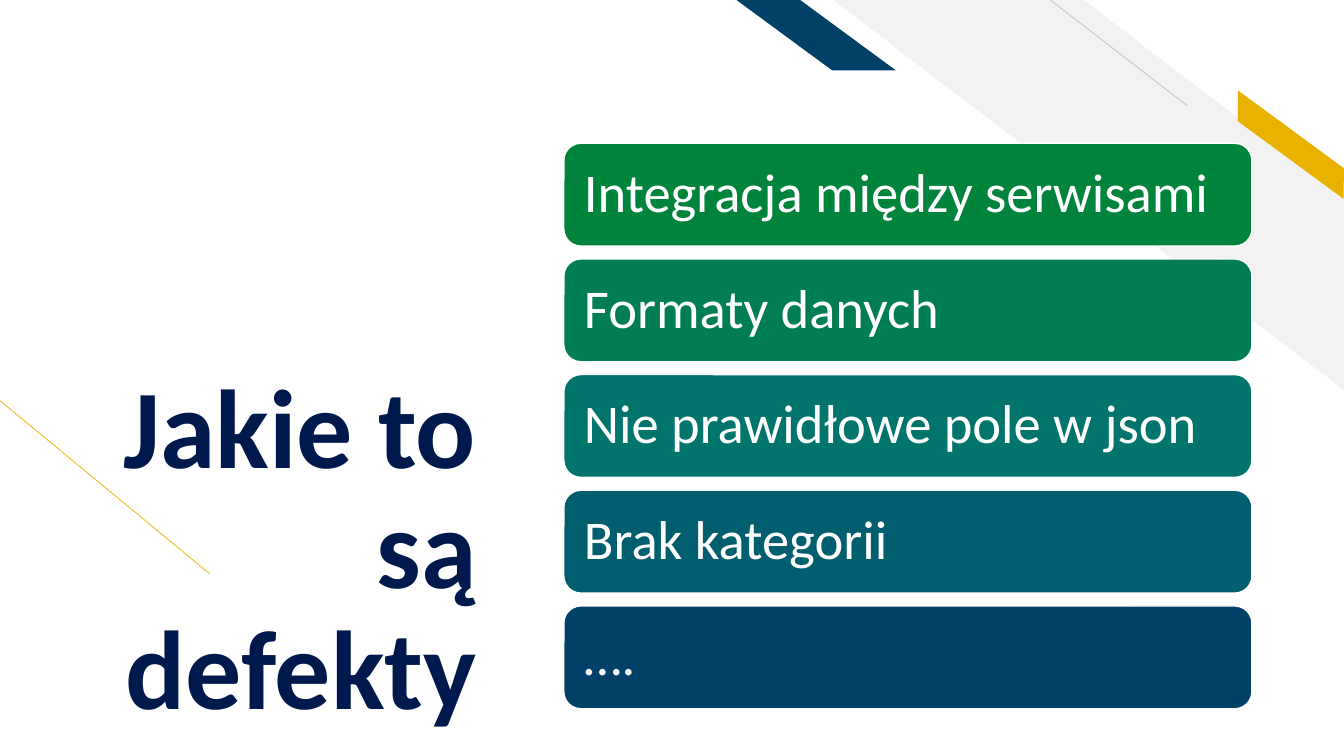
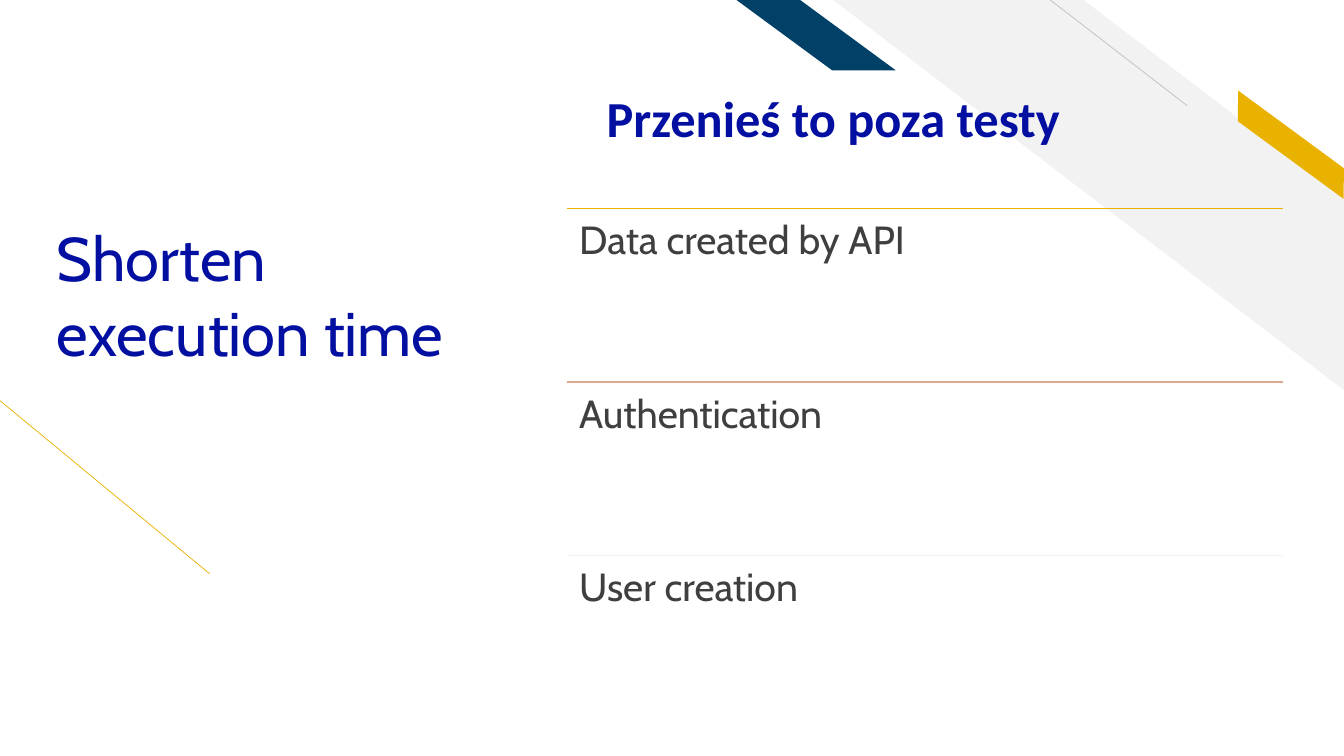
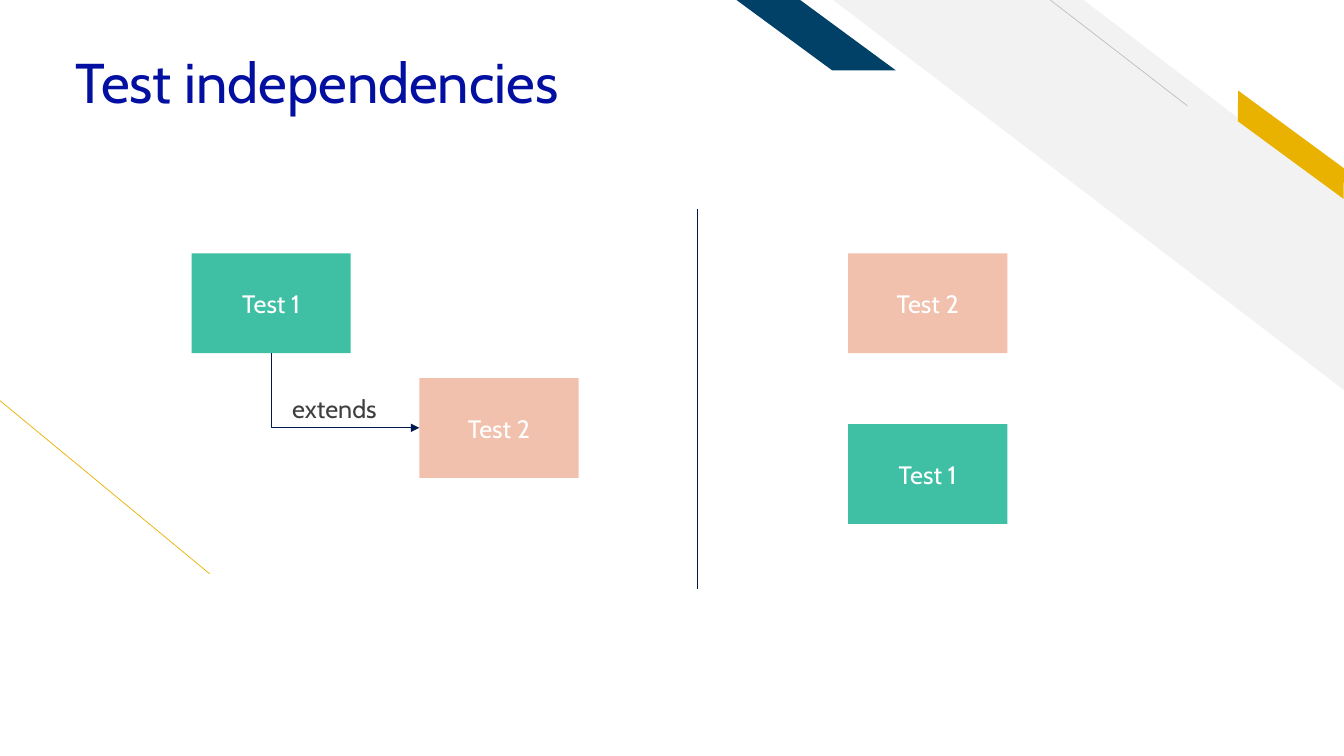
from dataclasses import dataclass
from typing import Optional

from lxml import etree
from pptx import Presentation
from pptx.dml.color import RGBColor
from pptx.enum.shapes import MSO_CONNECTOR, MSO_SHAPE
from pptx.enum.text import MSO_ANCHOR, PP_ALIGN
from pptx.oxml.ns import qn
from pptx.shapes.autoshape import Shape
from pptx.shapes.connector import Connector
from pptx.slide import Slide
from pptx.util import Inches, Pt

STRAIGHT, ELBOW = MSO_CONNECTOR.STRAIGHT, MSO_CONNECTOR.ELBOW
RECT, ROUNDED = MSO_SHAPE.RECTANGLE, MSO_SHAPE.ROUNDED_RECTANGLE
STRIPE, SLANT = MSO_SHAPE.DIAGONAL_STRIPE, MSO_SHAPE.PARALLELOGRAM
TOP, MIDDLE, BOTTOM = MSO_ANCHOR.TOP, MSO_ANCHOR.MIDDLE, MSO_ANCHOR.BOTTOM
LEFT, CENTER, RIGHT = PP_ALIGN.LEFT, PP_ALIGN.CENTER, PP_ALIGN.RIGHT
BOTTOM_SIDE, LEFT_SIDE = 2, 1

WHITE = RGBColor(0xFF, 0xFF, 0xFF)
PALE_GREY = RGBColor(0xF2, 0xF2, 0xF2)
GREY = RGBColor(0xBF, 0xBF, 0xBF)
CHARCOAL = RGBColor(0x3F, 0x3F, 0x3F)
GOLD = RGBColor(0xEA, 0xB2, 0x00)
NAVY = RGBColor(0x01, 0x40, 0x67)
INK = RGBColor(0x00, 0x19, 0x4C)
BLUE = RGBColor(0x03, 0x0F, 0xA0)
GREEN = RGBColor(0x00, 0x84, 0x3B)
SEA_GREEN = RGBColor(0x00, 0x7D, 0x55)
TEAL = RGBColor(0x01, 0x75, 0x6B)
PETROL = RGBColor(0x01, 0x5E, 0x6E)
MINT = RGBColor(0x3F, 0xBF, 0xA3)
PEACH = RGBColor(0xF1, 0xC1, 0xAE)
COPPER = RGBColor(0xD9, 0xAA, 0x8E)

SLIDE_W, SLIDE_H = Inches(13.333), Inches(7.5)


def across(percent: float) -> int:
    return round(SLIDE_W * percent / 100)


def down(percent: float) -> int:
    return round(SLIDE_H * percent / 100)


@dataclass(frozen=True)
class Box:
    """Place and size as percentages of the slide."""
    left: float
    top: float
    width: float
    height: float

    def emu(self) -> tuple[int, int, int, int]:
        return across(self.left), down(self.top), across(self.width), down(self.height)


@dataclass(frozen=True)
class Style:
    size: float
    color: RGBColor
    font: str = "Cabin"
    bold: bool = False
    align: PP_ALIGN = LEFT
    anchor: MSO_ANCHOR = MIDDLE
    spacing: float = 0.9
    after: float = 0
    insets: tuple[float, float, float, float] = (0.1, 0.05, 0.1, 0.05)


@dataclass(frozen=True)
class Band:
    preset: MSO_SHAPE
    box: Box
    adjustment: float
    color: RGBColor
    rotation: float = 0


@dataclass(frozen=True)
class Item:
    text: str
    color: RGBColor


@dataclass(frozen=True)
class TestBox:
    text: str
    left: float
    top: float
    color: RGBColor


BIG_TITLE = Style(80, INK, "Calibri", bold=True, align=RIGHT, anchor=BOTTOM,
                  insets=(0.1, 0.05, 0.1, 0))
SIDE_TITLE = Style(44, BLUE, after=6)
TOP_TITLE = Style(40, BLUE)
HEADING = Style(36, BLUE, "Calibri", bold=True)
BAR_TEXT = Style(39, WHITE, "Calibri", insets=(0.15, 0.16, 0.15, 0.16))
ROW_TEXT = Style(28, CHARCOAL, anchor=TOP, insets=(0.12, 0.12, 0.12, 0.12))
TEST_TEXT = Style(18, WHITE, align=CENTER, spacing=1)
ARROW_LABEL = Style(18, CHARCOAL, anchor=TOP, spacing=1)

STRIPE_BAND = Band(STRIPE, Box(62, 0, 38, 51.6), 0.51, PALE_GREY)
GOLD_BAND = Band(SLANT, Box(90.5, 17.5, 11.1, 3.3), 0.72, GOLD, 36.3)
NAVY_BAND = Band(SLANT, Box(54.8, 0, 11.85, 9.3), 1.36, NAVY)

DEFECTS = (
    Item("Integracja między serwisami", GREEN),
    Item("Formaty danych", SEA_GREEN),
    Item("Nie prawidłowe pole w json", TEAL),
    Item("Brak kategorii", PETROL),
    Item("….", NAVY),
)
MOVED_STEPS = (
    Item("Data created by API", GOLD),
    Item("Authentication", COPPER),
    Item("User creation", PALE_GREY),
)
DEPENDENT = (TestBox("Test 1", 14.25, 33.5, MINT), TestBox("Test 2", 31.2, 50, PEACH))
INDEPENDENT = (TestBox("Test 2", 63.1, 33.5, PEACH), TestBox("Test 1", 63.1, 56.1, MINT))


# Building blocks
def write(shape: Shape, text: str, style: Style) -> None:
    left, top, right, bottom = map(Inches, style.insets)
    frame = shape.text_frame
    frame_format = {
        "word_wrap": True, "vertical_anchor": style.anchor,
        "margin_left": left, "margin_top": top,
        "margin_right": right, "margin_bottom": bottom, "text": text,
    }
    for name, value in frame_format.items():
        setattr(frame, name, value)
    font_format = {"size": Pt(style.size), "name": style.font, "bold": style.bold}
    for paragraph in frame.paragraphs:
        paragraph.alignment = style.align
        paragraph.line_spacing = style.spacing
        paragraph.space_after = Pt(style.after)
        for run in paragraph.runs:
            for name, value in font_format.items():
                setattr(run.font, name, value)
            run.font.color.rgb = style.color


def add_text(slide: Slide, box: Box, text: str, style: Style) -> None:
    write(slide.shapes.add_textbox(*box.emu()), text, style)


def add_filled(slide: Slide, preset: MSO_SHAPE, box: Box, color: RGBColor,
               outline: Optional[RGBColor] = None) -> Shape:
    shape = slide.shapes.add_shape(preset, *box.emu())
    shape.shadow.inherit = False
    shape.fill.solid()
    shape.fill.fore_color.rgb = color
    if outline is None:
        shape.line.fill.background()
    else:
        shape.line.color.rgb = outline
        shape.line.width = Pt(1)
    return shape


def add_band(slide: Slide, band: Band) -> None:
    shape = add_filled(slide, band.preset, band.box, band.color)
    shape.adjustments[0] = band.adjustment
    shape.rotation = band.rotation
    shape._element.spPr.xfrm.set("flipH", "1")


def add_line(slide: Slide, start: tuple[float, float], end: tuple[float, float],
             color: RGBColor, width: float = 0.5, kind: MSO_CONNECTOR = STRAIGHT) -> Connector:
    line = slide.shapes.add_connector(
        kind, across(start[0]), down(start[1]), across(end[0]), down(end[1]))
    line.line.color.rgb = color
    line.line.width = Pt(width)
    etree.SubElement(line._element.spPr, qn("a:effectLst"))
    return line


def add_elbow_arrow(slide: Slide, source: Shape, target: Shape) -> None:
    """Run down from the source's bottom, then right to the target's left side."""
    arrow = add_line(slide, (0, 0), (0, 0), INK, kind=ELBOW)
    arrow.begin_connect(source, BOTTOM_SIDE)
    arrow.end_connect(target, LEFT_SIDE)
    start_x, start_y = source.left + source.width // 2, source.top + source.height
    end_x, end_y = target.left, target.top + target.height // 2
    run, drop = end_x - start_x, end_y - start_y
    # The one-bend preset is drawn on its side, so width and height swap
    turned = {
        "left": (start_x + end_x - drop) // 2, "top": (start_y + end_y - run) // 2,
        "width": drop, "height": run,
    }
    for name, value in turned.items():
        setattr(arrow, name, value)
    properties = arrow._element.spPr
    properties.xfrm.set("rot", str(270 * 60000))
    properties.xfrm.set("flipH", "1")
    properties.find(qn("a:prstGeom")).set("prst", "bentConnector2")
    etree.SubElement(properties.find(qn("a:ln")), qn("a:tailEnd"), type="triangle")


def add_test(slide: Slide, test: TestBox) -> Shape:
    shape = add_filled(slide, RECT, Box(test.left, test.top, 11.85, 13.2), test.color)
    write(shape, test.text, TEST_TEXT)
    return shape


def new_slide(deck: Presentation) -> Slide:
    """Add a blank slide with the shared bands and lines."""
    slide = deck.slides.add_slide(deck.slide_layouts[6])
    add_line(slide, (15.6, 75.9), (0, 53), GOLD)
    add_band(slide, STRIPE_BAND)
    add_line(slide, (88.35, 14), (78.15, 0), GREY)
    add_band(slide, GOLD_BAND)
    add_band(slide, NAVY_BAND)
    return slide


# Slides
def build_defects(deck: Presentation) -> None:
    slide = new_slide(deck)
    add_text(slide, Box(3.9, 15.6, 32.3, 81.5), "Jakie to są defekty", BIG_TITLE)
    for row, defect in enumerate(DEFECTS):
        bar = add_filled(slide, ROUNDED, Box(41.95, 18.95 + 15.3 * row, 51.2, 13.6),
                         defect.color, WHITE)
        write(bar, defect.text, BAR_TEXT)


def build_execution_time(deck: Presentation) -> None:
    slide = new_slide(deck)
    left, width, pitch = 42.2, 53.3, 22.95
    for row, step in enumerate(MOVED_STEPS):
        top = 27.6 + pitch * row
        add_line(slide, (left, top), (left + width, top), step.color, 1)
        add_text(slide, Box(left, top, width, pitch), step.text, ROW_TEXT)
    add_text(slide, Box(3.5, 17.6, 43.6, 44), "Shorten\nexecution time", SIDE_TITLE)
    add_text(slide, Box(44.4, 12.1, 50, 8), "Przenieś to poza testy", HEADING)


def build_independence(deck: Presentation) -> None:
    slide = new_slide(deck)
    base, extension = [add_test(slide, test) for test in DEPENDENT]
    add_elbow_arrow(slide, base, extension)
    add_text(slide, Box(21, 51.4, 9.4, 5.4), "extends", ARROW_LABEL)
    for test in INDEPENDENT:
        add_test(slide, test)
    add_line(slide, (51.9, 27.65), (51.9, 77.9), INK)
    add_text(slide, Box(4.9, 5.3, 86.2, 12), "Test independencies", TOP_TITLE)


def main() -> None:
    deck = Presentation()
    deck.slide_width, deck.slide_height = SLIDE_W, SLIDE_H
    for build in (build_defects, build_execution_time, build_independence):
        build(deck)
    deck.save("out.pptx")


if __name__ == "__main__":
    main()
